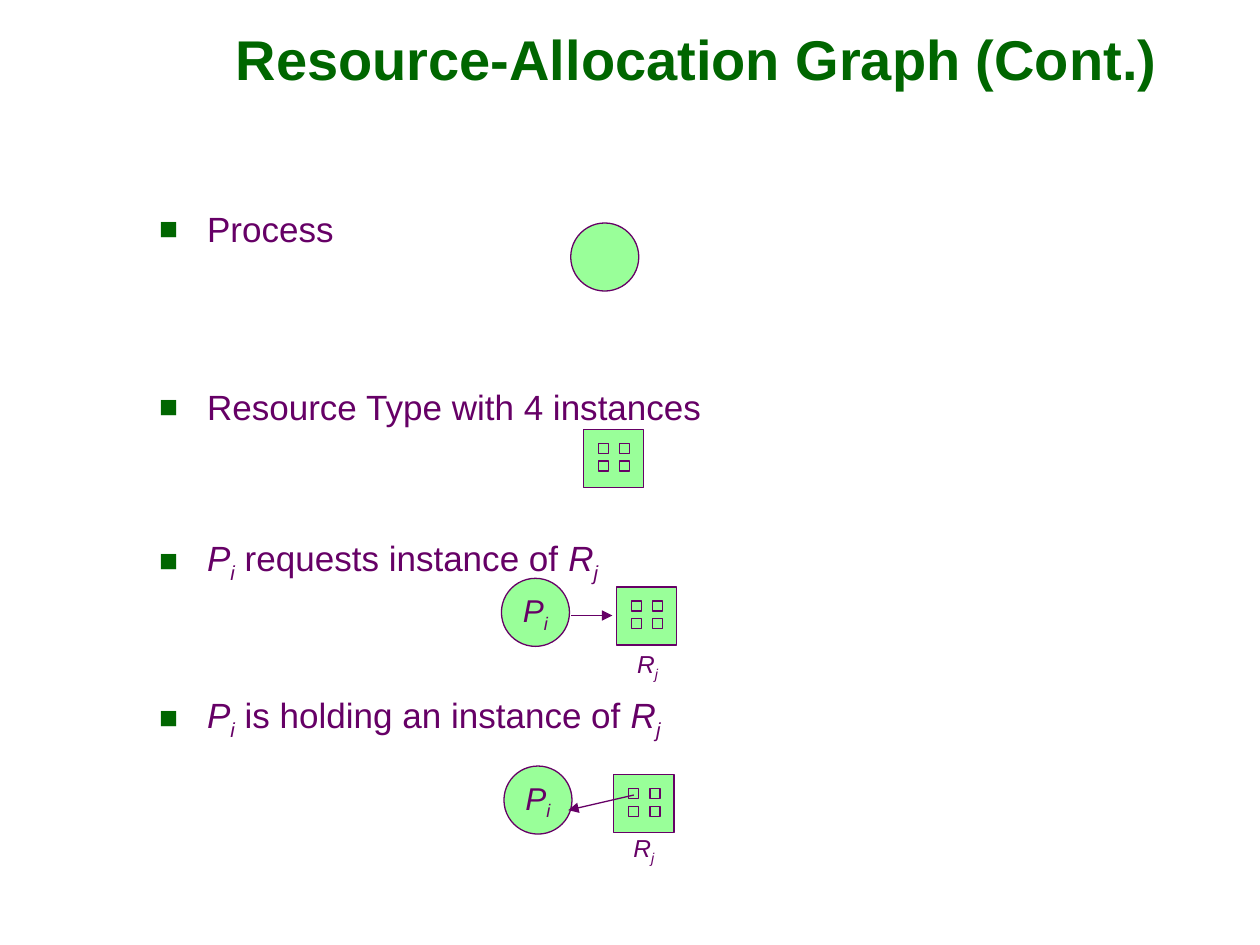
from itertools import product

from lxml import etree
from pptx import Presentation, util as u
from pptx.dml.color import RGBColor
from pptx.enum import shapes as s, text as t
from pptx.oxml import ns

GREEN = RGBColor(0x00, 0x66, 0x00)
PURPLE = RGBColor(0x66, 0x00, 0x66)
MINT = RGBColor(0x99, 0xFF, 0x99)
COLUMNS, ROWS = 100, 75
WIDTH, HEIGHT = u.Inches(10), u.Inches(7.5)
NODE = 5.4
RESOURCE = (4.8, 4.6)
PROCESS_NAME = [("P", "i"), ("i", "is")]
RESOURCE_NAME = [("R", "i"), ("j", "is")]


def grid(*lengths):
    """Turn alternating columns and rows into slide lengths."""
    units = (WIDTH / COLUMNS, HEIGHT / ROWS)
    return [round(n * units[i % 2]) for i, n in enumerate(lengths)]


def add_element(parent, tag, **attributes):
    """Append a DrawingML element to its parent."""
    return etree.SubElement(parent, ns.qn(tag), attributes)


def write(paragraph, runs, size, color=PURPLE, bold=False,
          align=t.PP_ALIGN.CENTER, before=0):
    """Fill a paragraph with runs styled i (italic) or s (subscript)."""
    paragraph.alignment = align
    paragraph.space_before = u.Pt(before)
    for words, style in runs:
        run = paragraph.add_run()
        run.text = words
        run.font.name, run.font.size = "Arial", u.Pt(size)
        run.font.bold, run.font.italic = bold, "i" in style
        run.font.color.rgb = color
        if "s" in style:
            run._r.get_or_add_rPr().set("baseline", "-25000")


def text_frame(slide, box, anchor=t.MSO_ANCHOR.MIDDLE):
    """Add a wrapping text box and return its frame."""
    frame = slide.shapes.add_textbox(*grid(*box)).text_frame
    frame.word_wrap, frame.vertical_anchor = True, anchor
    return frame


def outlined(parent, kind, box):
    """Add a mint shape with a thin purple outline."""
    shape = parent.shapes.add_shape(kind, *grid(*box))
    shape.shadow.inherit = False
    shape.fill.solid()
    shape.fill.fore_color.rgb = MINT
    shape.line.color.rgb = PURPLE
    shape.line.width = u.Pt(0.75)
    return shape


def process(slide, left, top, name=()):
    """Draw a process circle, with its name if given."""
    circle = outlined(slide, s.MSO_SHAPE.OVAL, (left, top, NODE, NODE))
    if name:
        frame = circle.text_frame
        frame.word_wrap, frame.vertical_anchor = False, t.MSO_ANCHOR.MIDDLE
        write(frame.paragraphs[0], name, 18)


def resource(slide, left, top):
    """Draw a resource box holding two by two instances."""
    width, height = RESOURCE
    group = slide.shapes.add_group_shape()
    outlined(group, s.MSO_SHAPE.RECTANGLE, (left, top, width, height))
    for row, column in product(range(2), repeat=2):
        outlined(group, s.MSO_SHAPE.RECTANGLE,
                 (left + width * (0.25 + 0.35 * column),
                  top + height * (0.24 + 0.3 * row), 0.8, 0.8))


def arrow(slide, start, end):
    """Draw a thin arrow from start to end."""
    line = slide.shapes.add_connector(s.MSO_CONNECTOR.STRAIGHT,
                                      *grid(*start, *end))
    line.line.color.rgb = PURPLE
    line.line.width = u.Pt(0.75)
    add_element(line.line._get_or_add_ln(), "a:tailEnd", type="triangle")
    add_element(line._element.spPr, "a:effectLst")


def relation(slide, left, top, resource_x, label, start, end):
    """Draw a process, a resource and the arrow between them."""
    process(slide, left, top, PROCESS_NAME)
    resource(slide, left + resource_x, top + 0.7)
    arrow(slide, (left + start[0], top + start[1]),
          (left + end[0], top + end[1]))
    frame = text_frame(slide, (left + label[0], top + label[1], 3.6, 3.7))
    frame.margin_left = frame.margin_right = 0
    write(frame.paragraphs[0], RESOURCE_NAME, 14)


def title(slide, box):
    """Write the slide title."""
    write(text_frame(slide, box).paragraphs[0],
          [("Resource-Allocation Graph (Cont.)", "")], 32, GREEN, bold=True)


def legend(slide, box):
    """Write the bulleted list of graph symbols."""
    entries = [
        (0, [("Process", "")]),
        (77.5, [("Resource Type with 4 instances", "")]),
        (62.5, [*PROCESS_NAME, (" requests instance of ", ""),
                *RESOURCE_NAME]),
        (62.5, [*PROCESS_NAME, (" is holding an instance of ", ""),
                *RESOURCE_NAME]),
    ]
    frame = text_frame(slide, box, anchor=t.MSO_ANCHOR.TOP)
    for number, (before, runs) in enumerate(entries):
        paragraph = frame.add_paragraph() if number else frame.paragraphs[0]
        write(paragraph, runs, 20, align=t.PP_ALIGN.LEFT, before=before)
        properties = paragraph._p.get_or_add_pPr()
        indent = u.Inches(0.38)
        properties.set("marL", str(indent))
        properties.set("indent", str(-indent))
        color = add_element(properties, "a:buClr")
        add_element(color, "a:srgbClr", val=str(GREEN))
        add_element(properties, "a:buSzPct", val="90000")
        add_element(properties, "a:buFont", typeface="Arial")
        add_element(properties, "a:buChar", char="■")


def main():
    """Build and save the slide."""
    deck = Presentation()
    deck.slide_width, deck.slide_height = WIDTH, HEIGHT
    slide = deck.slides.add_slide(deck.slide_layouts[6])
    title(slide, (12.8, 0, 85, 9.2))
    legend(slide, (11.65, 16, 76.9, 53.3))
    process(slide, 45.3, 17.7)
    resource(slide, 46.3, 34.1)
    relation(slide, 39.8, 45.9, resource_x=9.1, label=(9.8, 5.1),
             start=(5.5, 2.95), end=(8.8, 2.95))
    relation(slide, 40, 60.8, resource_x=8.7, label=(9.3, 4.8),
             start=(10.3, 2.3), end=(5.1, 3.5))
    deck.save("out.pptx")


if __name__ == "__main__":
    main()
